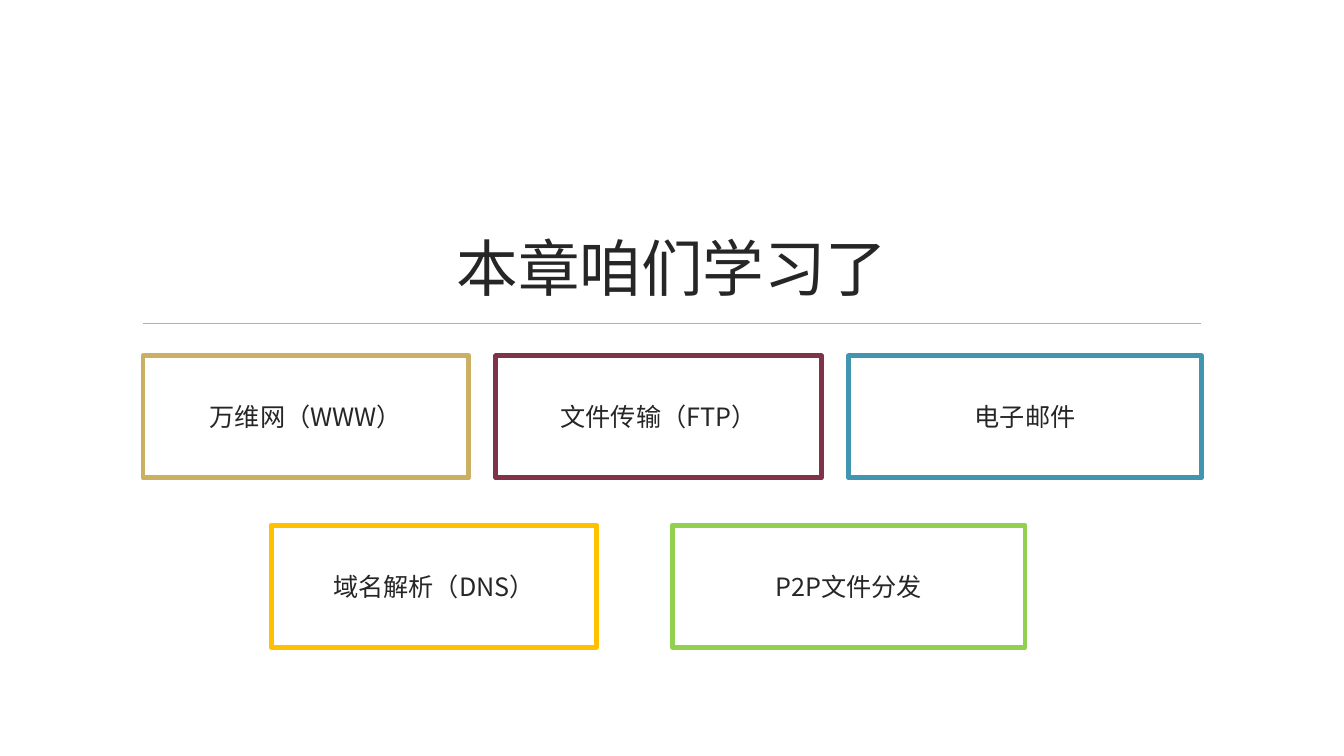
from lxml import etree
from pptx import Presentation
from pptx.dml.color import RGBColor
from pptx.enum.shapes import MSO_CONNECTOR, MSO_SHAPE
from pptx.enum.text import MSO_ANCHOR, PP_ALIGN
from pptx.oxml.ns import qn
from pptx.util import Pt

RECT = MSO_SHAPE.RECTANGLE
STRAIGHT = MSO_CONNECTOR.STRAIGHT
MIDDLE, BOTTOM = MSO_ANCHOR.MIDDLE, MSO_ANCHOR.BOTTOM
CENTER = PP_ALIGN.CENTER
FONT = "Noto Sans CJK SC"
INK, GOLD = "262626", "CBAF62"
LEFT, WIDTH = 102.2, 756
PITCH, NARROW, WIDE, HEIGHT = 252, 232.6, 252, 87.1
TOP_ROW = [
    ("万维网（WWW）", GOLD, 0, NARROW),
    ("文件传输（FTP）", "803348", PITCH, NARROW),
    ("电子邮件", "4096B0", 2 * PITCH, WIDE),
]
BOTTOM_ROW = [
    ("域名解析（DNS）", "FFC000", 0, NARROW),
    ("P2P文件分发", "92D050", 286.5, WIDE),
]


def color(value):
    """Turn a hex string into a colour."""
    return RGBColor.from_string(value)


def write(tf, text, size=18, anchor=MIDDLE, after=0):
    """Write one centred paragraph into a text frame."""
    tf.word_wrap = True
    tf.vertical_anchor = anchor
    p = tf.paragraphs[0]
    p.alignment = CENTER
    p.space_after = Pt(after)
    r = p.add_run()
    r.text = text
    r.font.size = Pt(size)
    r.font.color.rgb = color(INK)
    r.font.name = FONT
    etree.SubElement(r._r.get_or_add_rPr(), qn("a:ea"), typeface=FONT)


def add_heading(s, x, y, w, h):
    """Place the title with a gold rule beneath it."""
    rule_y = Pt(y + h + 10.8)
    line = s.shapes.add_connector(STRAIGHT, Pt(x), rule_y, Pt(x + w), rule_y)
    line.line.color.rgb = color(GOLD)
    line.line.width = Pt(1.25)
    etree.SubElement(line._element.spPr, qn("a:effectLst"))
    box = s.shapes.add_textbox(Pt(x), Pt(y), Pt(w), Pt(h))
    write(box.text_frame, "本章咱们学习了", size=44, anchor=BOTTOM)


def add_topics(s, x, y, h, topics):
    """Place a row of outlined topic boxes starting at x, y."""
    for text, outline, offset, w in topics:
        sp = s.shapes.add_shape(RECT, Pt(x + offset), Pt(y), Pt(w), Pt(h))
        sp.shadow.inherit = False
        sp.fill.background()
        sp.line.color.rgb = color(outline)
        sp.line.width = Pt(3.5)
        write(sp.text_frame, text, after=6)


def main():
    """Build and save the chapter summary slide."""
    prs = Presentation()
    prs.slide_width, prs.slide_height = Pt(960), Pt(540)
    s = prs.slides.add_slide(prs.slide_layouts[6])
    add_heading(s, LEFT, 77, WIDTH, 143.3)
    add_topics(s, LEFT, 254.2, HEIGHT, TOP_ROW)
    add_topics(s, 193.7, 375.1, HEIGHT, BOTTOM_ROW)
    prs.save("out.pptx")


if __name__ == "__main__":
    main()
